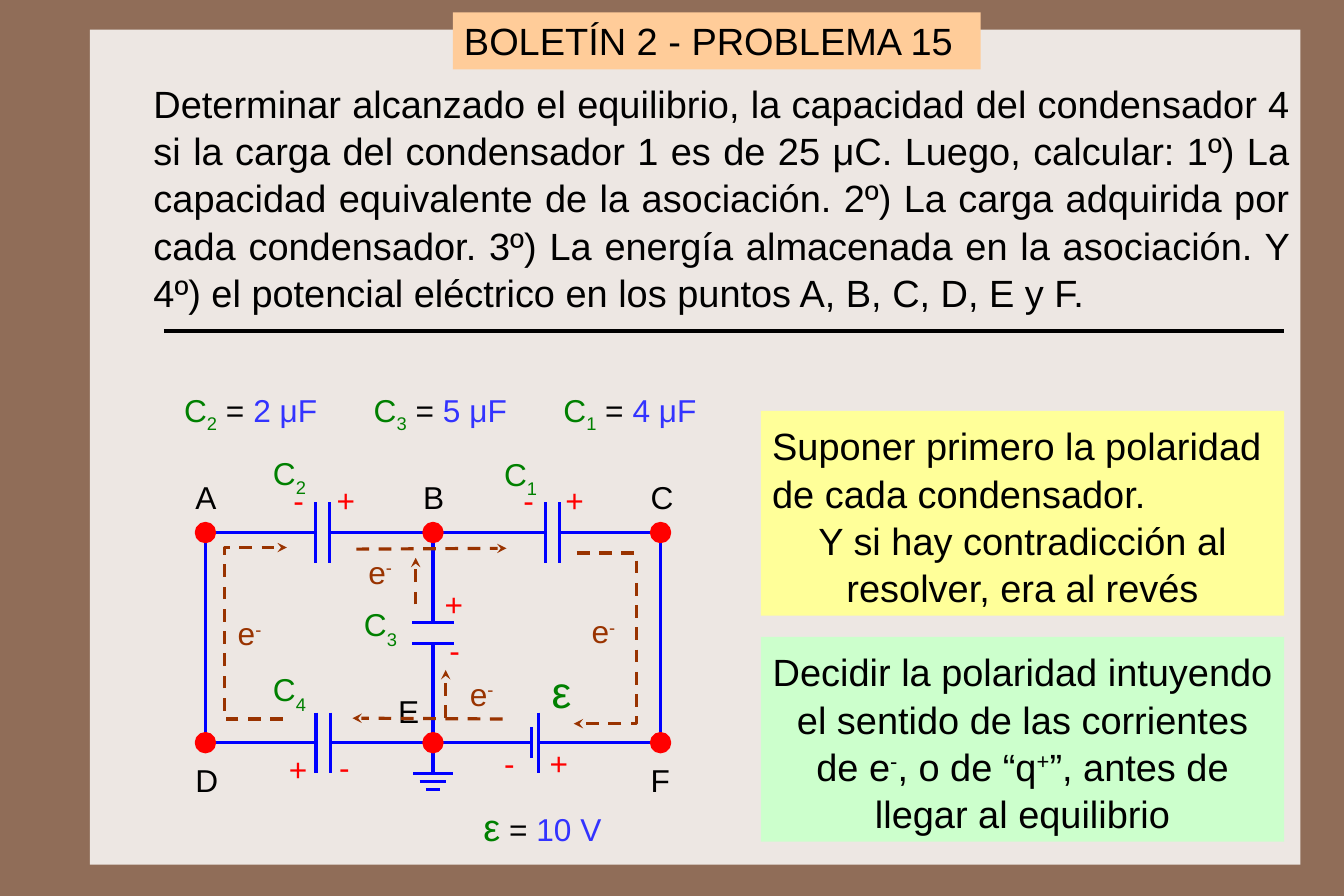
from dataclasses import dataclass

from lxml.etree import SubElement
from pptx import Presentation
from pptx.dml.color import RGBColor
from pptx.enum.dml import MSO_LINE
from pptx.enum.shapes import MSO_CONNECTOR, MSO_SHAPE
from pptx.enum.text import MSO_ANCHOR, PP_ALIGN
from pptx.oxml.ns import qn
from pptx.util import Pt


@dataclass(frozen=True)
class Theme:
    font: str = "Arial"
    background: str = "906D58"
    panel: str = "EDE7E3"
    title: str = "FFCC99"
    hint: str = "FFFF99"
    advice: str = "CCFFCC"
    ink: str = "000000"
    wire: str = "0000FF"
    node: str = "FF0000"
    symbol: str = "008000"
    value: str = "3333FF"
    electron: str = "993300"
    label_size: int = 20
    body_size: int = 24
    source_size: int = 28
    line_width: int = 2


THEME = Theme()
COLUMNS = (130, 274, 418)
TOP, BOTTOM = 337, 470
PLATE = 19


def color(value):
    return RGBColor.from_string(value)


def apply_format(target, values):
    for name, value in values.items():
        setattr(target, name, value)


def write_runs(paragraph, runs):
    for text, ink, size, baseline in runs:
        run = paragraph.add_run()
        run.text = text
        apply_format(run.font, {"name": THEME.font, "size": Pt(size)})
        run.font.color.rgb = color(ink)
        if baseline:
            run.font._element.set("baseline", str(baseline * 1000))


def write_text(shape, paragraphs, inset=3.6, anchor=MSO_ANCHOR.TOP, spacing=1.0):
    frame = shape.text_frame
    apply_format(frame, {
        "word_wrap": True, "vertical_anchor": anchor,
        "margin_left": Pt(7.2), "margin_right": Pt(7.2),
        "margin_top": Pt(inset), "margin_bottom": Pt(inset),
    })
    for index, (alignment, runs) in enumerate(paragraphs):
        paragraph = frame.add_paragraph() if index else frame.paragraphs[0]
        apply_format(paragraph, {"alignment": alignment, "line_spacing": spacing})
        write_runs(paragraph, runs)


def add_label(slide, left, top, runs, width=40, inset=3.6):
    box = slide.shapes.add_textbox(Pt(left), Pt(top), Pt(width), Pt(32))
    write_text(box, [(PP_ALIGN.LEFT, runs)], inset)


def add_filled(slide, kind, left, top, width, height, fill):
    shape = slide.shapes.add_shape(kind, Pt(left), Pt(top), Pt(width), Pt(height))
    shape.shadow.inherit = False
    shape.fill.solid()
    shape.fill.fore_color.rgb = color(fill)
    shape.line.fill.background()
    return shape


def style_line(line, ink, arrow=False):
    line.color.rgb = color(ink)
    line.width = Pt(THEME.line_width)
    if arrow:
        line.dash_style = MSO_LINE.DASH
        SubElement(line._get_or_add_ln(), qn("a:tailEnd"), type="stealth")


def add_line(slide, start, end, ink=THEME.wire, arrow=False):
    connector = slide.shapes.add_connector(
        MSO_CONNECTOR.STRAIGHT, *(Pt(value) for value in (*start, *end)))
    style_line(connector.line, ink, arrow)
    SubElement(connector._element.spPr, qn("a:effectLst"))


def add_electron_path(slide, points):
    start, *rest = [(Pt(x), Pt(y)) for x, y in points]
    builder = slide.shapes.build_freeform(*start, scale=1.0)
    builder.add_line_segments(rest, close=False)
    shape = builder.convert_to_shape()
    shape.shadow.inherit = False
    shape.fill.background()
    style_line(shape.line, THEME.electron, arrow=True)


def add_row_wires(slide, y, gaps):
    stops = [COLUMNS[0], *(x for gap in gaps for x in gap), COLUMNS[-1]]
    for left, right in zip(stops[::2], stops[1::2]):
        add_line(slide, (left, y), (right, y))


def add_plate(slide, x, y, half=PLATE):
    add_line(slide, (x, y - half), (x, y + half))


def add_circuit(slide):
    rows = {
        TOP: [(199.5, 208.5), (345, 354)],
        BOTTOM: [(200, 209), (336.5, 340.5)],
    }
    for y, gaps in rows.items():
        add_row_wires(slide, y, gaps)
        for left, right in gaps:
            battery = left == 336.5
            add_plate(slide, left, y, 10 if battery else PLATE)
            add_plate(slide, right, y)

    left, middle, right = COLUMNS
    for x in (left, right):
        add_line(slide, (x, TOP), (x, BOTTOM))
    for node_y, plate_y in ((TOP, 394), (BOTTOM, 407)):
        add_line(slide, (middle, node_y), (middle, plate_y))
        add_line(slide, (middle - 13, plate_y), (middle + 13, plate_y))

    add_line(slide, (middle, BOTTOM), (middle, 489.5))
    for step in range(3):
        half, y = 12.5 - 4 * step, 489.5 + 5 * step
        add_line(slide, (middle - half, y), (middle + half, y))

    for x in COLUMNS:
        for y in (TOP, BOTTOM):
            node = add_filled(slide, MSO_SHAPE.OVAL, x - 5.75, y - 5.75, 11.5, 11.5, THEME.node)
            style_line(node.line, THEME.node)


def add_circuit_labels(slide):
    size = THEME.label_size
    for name, left, top in (("A", 116.6, 299), ("B", 260.6, 299), ("C", 404.6, 299),
                            ("D", 116.6, 478), ("E", 244.8, 434), ("F", 404.6, 478)):
        add_label(slide, left, top, [(name, THEME.ink, size, 0)])
    for number, left, top in (("1", 311.8, 284), ("2", 165.6, 283.5),
                              ("3", 223.2, 379.5), ("4", 165.6, 420.5)):
        add_label(slide, left, top,
                  [("C", THEME.symbol, size, 0), (number, THEME.symbol, size, -30)])
    for sign, left, top in (("+", 350.6, 298), ("-", 324, 298), ("+", 205.9, 298),
                            ("-", 178.6, 298), ("+", 274.3, 363.6), ("-", 277.2, 393),
                            ("+", 175.7, 468), ("-", 207.4, 466.6),
                            ("-", 311.8, 464.4), ("+", 340.6, 464.4)):
        add_label(slide, left, top, [(sign, THEME.node, size, 0)], inset=6.5)
    for left, top in ((367.2, 383.8), (290.2, 423.4), (143.3, 385.2), (226, 346.3)):
        add_label(slide, left, top,
                  [("e", THEME.electron, size, 0), ("-", THEME.electron, size, 30)])
    add_label(slide, 342, 416.6, [("ε", THEME.symbol, THEME.source_size, 0)])


def add_electron_flow(slide):
    for start, end in (((318, 455), (223, 454.5)), ((282, 454.5), (282, 424)),
                       ((225.5, 347.5), (320.5, 347)), ((263, 382.5), (263, 353))):
        add_line(slide, start, end, THEME.electron, arrow=True)
    add_electron_path(slide, [(179, 455), (142, 455), (142, 346.5), (181.5, 346.5)])
    add_electron_path(slide, [(365, 350), (402.5, 350), (402.5, 458), (363, 458)])


def add_data(slide):
    size = THEME.label_size
    for index, (number, value) in enumerate((("2", "2 μF"), ("3", "5 μF"), ("1", "4 μF"))):
        add_label(slide, 109.4 + 120 * index, 244, [
            ("C", THEME.symbol, size, 0), (number, THEME.symbol, size, -25),
            (" = ", THEME.ink, size, 0), (value, THEME.value, size, 0)], width=108)
    add_label(slide, 298.8, 504.7, [
        ("ε", THEME.symbol, THEME.body_size, 0), (" = ", THEME.ink, size, 0),
        ("10 V", THEME.value, size, 0)], width=108)


def body(text, baseline=0):
    return text, THEME.ink, THEME.body_size, baseline


def add_statement(slide):
    title = add_filled(slide, MSO_SHAPE.RECTANGLE, 286.5, 7.9, 334, 36, THEME.title)
    write_text(title, [(PP_ALIGN.LEFT, [body("BOLETÍN 2 - PROBLEMA 15")])])
    statement = slide.shapes.add_textbox(Pt(90), Pt(48.2), Pt(733), Pt(152.6))
    write_text(statement, [(PP_ALIGN.JUSTIFY, [body(
        "Determinar alcanzado el equilibrio, la capacidad del condensador 4 si la carga "
        "del condensador 1 es de 25 μC. Luego, calcular: 1º) La capacidad equivalente de "
        "la asociación. 2º) La carga adquirida por cada condensador. 3º) La energía "
        "almacenada en la asociación. Y 4º) el potencial eléctrico en los puntos "
        "A, B, C, D, E y F.")])], anchor=MSO_ANCHOR.MIDDLE, spacing=1.04)


def add_notes(slide):
    hint = [
        (PP_ALIGN.LEFT, [body("Suponer primero la polaridad de cada condensador.")]),
        (PP_ALIGN.CENTER, [body("Y si hay contradicción al resolver, era al revés")]),
    ]
    advice = [(PP_ALIGN.CENTER, [
        body("Decidir la polaridad intuyendo el sentido de las corrientes de e"),
        body("-", 30), body(", o de “q"), body("+", 30),
        body("”, antes de llegar al equilibrio")])]
    for top, fill, paragraphs in ((260, THEME.hint, hint), (403, THEME.advice, advice)):
        box = add_filled(slide, MSO_SHAPE.RECTANGLE, 481.5, top, 331, 129.6, fill)
        write_text(box, paragraphs, inset=6.5, spacing=1.04)


def main():
    presentation = Presentation()
    apply_format(presentation, {"slide_width": Pt(850.4), "slide_height": Pt(567)})
    slide = presentation.slides.add_slide(presentation.slide_layouts[6])
    slide.background.fill.solid()
    slide.background.fill.fore_color.rgb = color(THEME.background)
    add_filled(slide, MSO_SHAPE.RECTANGLE, 56.9, 18.7, 766, 528.5, THEME.panel)
    add_line(slide, (103.7, 209.5), (812.2, 209.5), THEME.ink)
    add_data(slide)
    add_circuit(slide)
    add_circuit_labels(slide)
    add_electron_flow(slide)
    add_statement(slide)
    add_notes(slide)
    presentation.save("out.pptx")


if __name__ == "__main__":
    main()
